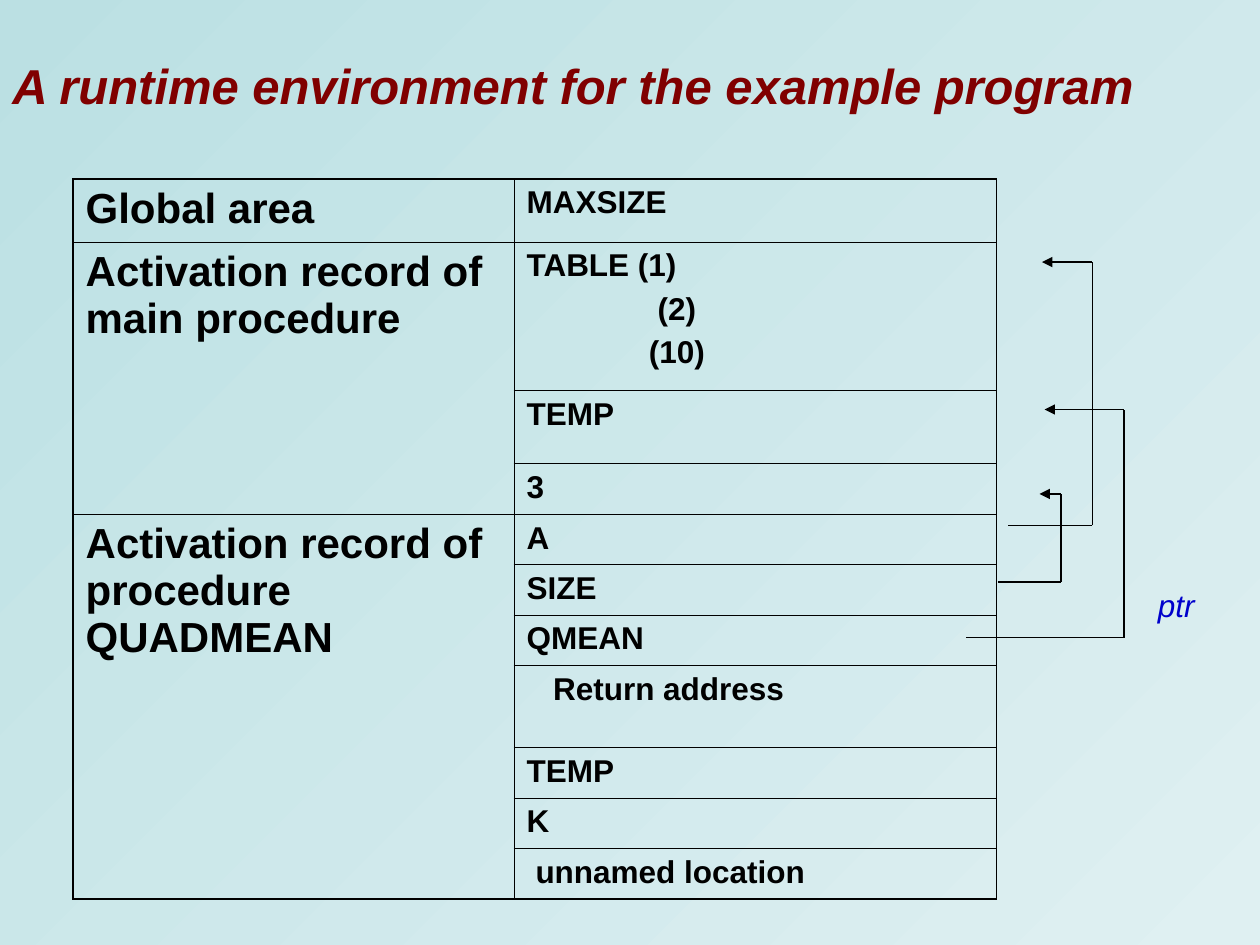
"""Builds a slide on the runtime environment of an example program."""
from dataclasses import dataclass
from typing import NamedTuple

from lxml import etree
from pptx import Presentation
from pptx.dml import color
from pptx.enum import shapes, text
from pptx.oxml import ns
from pptx import util as u


@dataclass(frozen=True)
class Theme:
    font: str = "Arial"
    ink: str = "000000"
    title: str = "800000"
    note: str = "0000CC"
    start: str = "BBE0E3"
    end: str = "DFF0F2"
    head: float = 28
    area: float = 24
    body: float = 18
    gap: float = 4.5
    line: float = 0.75
    inner: float = 0.45
    outer: float = 1.08


class Item(NamedTuple):
    words: str
    indent: float = 0


class Row(NamedTuple):
    height: float
    items: tuple[Item, ...]


class Area(NamedTuple):
    label: str
    rows: tuple[Row, ...]


class Route(NamedTuple):
    start: float
    low: float
    bend: float
    high: float
    tip: float


LOOK = Theme()
AREAS = (
    Area("Global area", (Row(0.5, (Item("MAXSIZE"),)),)),
    Area("Activation record of main procedure", (
        Row(1.18, (Item("TABLE (1)"), Item("(2)", 1.04), Item("(10)", 0.97))),
        Row(0.58, (Item("TEMP"),)),
        Row(0.4, (Item("3"),)),
    )),
    Area("Activation record of procedure QUADMEAN", (
        Row(0.4, (Item("A"),)),
        Row(0.4, (Item("SIZE"),)),
        Row(0.4, (Item("QMEAN"),)),
        Row(0.65, (Item("Return address", 0.21),)),
        Row(0.4, (Item("TEMP"),)),
        Row(0.4, (Item("K"),)),
        Row(0.4, (Item("unnamed location", 0.07),)),
    )),
)
ROUTES = (
    Route(8, 4.17, 8.67, 2.08, 8.27),
    Route(7.67, 5.06, 8.92, 3.25, 8.29),
    Route(7.92, 4.62, 8.42, 3.92, 8.25),
)


def add_run(para, words: str, size: float, tint: str, bold: bool = False, slant: bool = False) -> None:
    """Add one styled run to a paragraph."""
    run = para.add_run()
    run.text = words
    font = run.font
    font.name, font.size = LOOK.font, u.Pt(size)
    font.bold, font.italic = bold, slant
    font.color.rgb = color.RGBColor.from_string(tint)


def add_text(slide, box: tuple, top: float, wrap: bool, words: str, size: float, tint: str, bold: bool) -> None:
    """Add a one-line italic text box."""
    frame = slide.shapes.add_textbox(*map(u.Inches, box)).text_frame
    frame.word_wrap = wrap
    frame.margin_top = u.Inches(top)
    add_run(frame.paragraphs[0], words, size, tint, bold, True)


def set_edges(cell, edges: dict[str, float]) -> None:
    """Draw the given cell borders and clear the fill."""
    props = cell._tc.get_or_add_tcPr()
    for side, width in edges.items():
        line = etree.SubElement(props, ns.qn(f"a:ln{side}"), w=str(u.Pt(width)))
        fill = etree.SubElement(line, ns.qn("a:solidFill"))
        etree.SubElement(fill, ns.qn("a:srgbClr"), val=LOOK.ink)
    cell.fill.background()


def fill_items(cell, items: tuple[Item, ...]) -> None:
    """Write the justified lines of a memory cell."""
    frame = cell.text_frame
    for i, item in enumerate(items):
        para = frame.add_paragraph() if i else frame.paragraphs[0]
        para.alignment = text.PP_ALIGN.JUSTIFY
        para.space_before = u.Pt(LOOK.gap if i else 0)
        if item.indent:
            para._p.get_or_add_pPr().set("marL", str(u.Inches(item.indent)))
        add_run(para, item.words, LOOK.body, LOOK.ink, bold=True)


def add_memory(slide) -> None:
    """Add the table of memory areas."""
    rows = [row for area in AREAS for row in area.rows]
    high = sum(row.height for row in rows)
    box = map(u.Inches, (0.58, 1.42, 7.33, high))
    table = slide.shapes.add_table(len(rows), 2, *box).table
    table.first_row = table.horz_banding = False
    for col, width in zip(table.columns, (3.5, 3.83)):
        col.width = u.Inches(width)
    last = len(rows) - 1
    for i, row in enumerate(rows):
        table.rows[i].height = u.Inches(row.height)
        cell = table.cell(i, 1)
        fill_items(cell, row.items)
        set_edges(cell, {
            "L": LOOK.inner, "R": LOOK.outer,
            "T": LOOK.inner if i else LOOK.outer,
            "B": LOOK.outer if i == last else LOOK.inner,
        })
    first = 0
    for area in AREAS:
        end = first + len(area.rows) - 1
        cell = table.cell(first, 0)
        if end > first:
            cell.merge(table.cell(end, 0))
        add_run(cell.text_frame.paragraphs[0], area.label, LOOK.area, LOOK.ink, bold=True)
        sides = {"L": LOOK.outer, "R": LOOK.inner}
        set_edges(cell, sides | {
            "T": LOOK.inner if first else LOOK.outer,
            "B": LOOK.outer if end == last else LOOK.inner,
        })
        for i in range(first + 1, end + 1):
            set_edges(table.cell(i, 0), sides)
        first = end + 1


def add_route(group, route: Route) -> None:
    """Add a pointer of three lines that ends in an arrowhead."""
    spots = ((route.start, route.low), (route.bend, route.low),
             (route.bend, route.high), (route.tip, route.high))
    for a, b in zip(spots, spots[1:]):
        link = group.shapes.add_connector(shapes.MSO_CONNECTOR.STRAIGHT, *map(u.Inches, a + b))
        link.line.width = u.Pt(LOOK.line)
        link.line.color.rgb = color.RGBColor.from_string(LOOK.ink)
        props = link._element.spPr
        etree.SubElement(props, ns.qn("a:effectLst"))
        if b == spots[-1]:
            etree.SubElement(props.find(ns.qn("a:ln")), ns.qn("a:tailEnd"), type="triangle")


def main() -> None:
    """Build and save the slide."""
    deck = Presentation()
    deck.slide_width, deck.slide_height = u.Inches(10), u.Inches(7.5)
    slide = deck.slides.add_slide(deck.slide_layouts[6])
    fill = slide.background.fill
    fill.gradient()
    fill.gradient_angle = 315
    for stop, tint, spot in zip(fill.gradient_stops, (LOOK.start, LOOK.end), (0, 1)):
        stop.color.rgb = color.RGBColor.from_string(tint)
        stop.position = spot
    add_text(slide, (0, 0.33, 9.67, 0.42), 0.11, True,
             "A runtime environment for the example program", LOOK.head, LOOK.title, True)
    add_memory(slide)
    group = slide.shapes.add_group_shape()
    for route in ROUTES:
        add_route(group, route)
    add_text(slide, (9.09, 4.6, 0.49, 0.4), 0.05, False, "ptr", LOOK.body, LOOK.note, False)
    deck.save("out.pptx")


if __name__ == "__main__":
    main()
